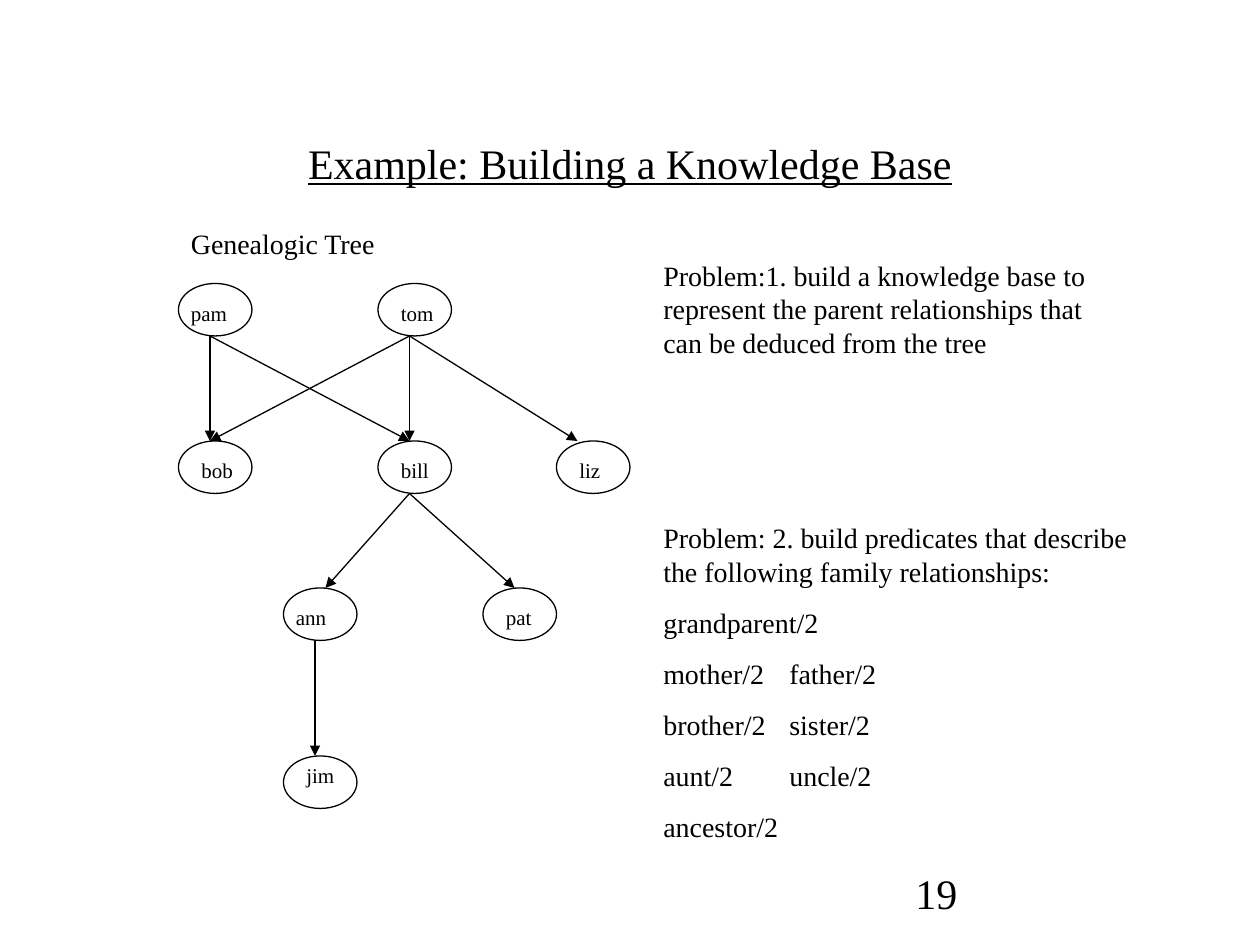
from pptx import Presentation
from pptx.dml.color import RGBColor
from pptx.enum.shapes import MSO_CONNECTOR as CONNECTOR, MSO_SHAPE as SHAPE
from pptx.enum.text import MSO_ANCHOR as ANCHOR, MSO_AUTO_SIZE as AUTO_SIZE, PP_ALIGN as ALIGN
from pptx.oxml.ns import qn
from pptx.util import Emu, Pt
from lxml.etree import SubElement

EMU_PER_PX = 7620
BLACK = RGBColor(0x00, 0x00, 0x00)
WHITE = RGBColor(0xFF, 0xFF, 0xFF)
FONT = "Times New Roman"
NODE_WIDTH, NODE_HEIGHT = 70, 50
LINK_OFFSET = 30

PEOPLE = {
    "pam": (170, 270),
    "tom": (360, 270),
    "bob": (170, 420),
    "bill": (360, 420),
    "liz": (530, 420),
    "ann": (270, 560),
    "jim": (270, 720),
    "pat": (460, 560),
}
LABEL_OFFSETS = {"pam": (0, 10), "ann": (0, 10), "jim": (10, 0)}
PARENT_LINKS = [
    ("pam", "bob"), ("pam", "bill"),
    ("tom", "bob"), ("tom", "bill"), ("tom", "liz"),
    ("bill", "ann"), ("bill", "pat"),
    ("ann", "jim"),
]
ARRIVAL_OFFSETS = {"liz": 20, "ann": 40}

PROBLEM_ONE = ["Problem:1. build a knowledge base to represent the parent "
               "relationships that can be deduced from the tree"]
PROBLEM_TWO = [
    "Problem: 2. build predicates that describe the following family relationships:",
    "grandparent/2",
    "mother/2\tfather/2",
    "brother/2\tsister/2",
    "aunt/2\tuncle/2",
    "ancestor/2",
]


def px(*lengths):
    return [Emu(length * EMU_PER_PX) for length in lengths]


def add_run(paragraph, text, size, underline=None):
    run = paragraph.add_run()
    run.text = text
    run.font.name = FONT
    run.font.size = Pt(size)
    run.font.color.rgb = BLACK
    run.font.underline = underline


def format_title(slide, text):
    title = slide.shapes.title
    title.left, title.top, title.width, title.height = px(90, 80, 1020, 150)
    frame = title.text_frame
    frame.auto_size = AUTO_SIZE.NONE
    frame.vertical_anchor = ANCHOR.MIDDLE
    paragraph = frame.paragraphs[0]
    paragraph.alignment = ALIGN.CENTER
    add_run(paragraph, text, 24, underline=True)


def add_text(slide, box, lines, size):
    frame = slide.shapes.add_textbox(*px(*box)).text_frame
    frame.word_wrap = True
    for index, line in enumerate(lines):
        paragraph = frame.add_paragraph() if index else frame.paragraphs[0]
        if index:
            paragraph.space_before = Pt(10)
        add_run(paragraph, line, size)


def add_node(slide, left, top):
    node = slide.shapes.add_shape(SHAPE.OVAL, *px(left, top, NODE_WIDTH, NODE_HEIGHT))
    node.shadow.inherit = False
    node.fill.solid()
    node.fill.fore_color.rgb = WHITE
    node.line.color.rgb = BLACK
    node.line.width = Pt(0.75)


def add_arrow(slide, parent, child):
    parent_left, parent_top = PEOPLE[parent]
    child_left, child_top = PEOPLE[child]
    arrow = slide.shapes.add_connector(CONNECTOR.STRAIGHT, *px(
        parent_left + LINK_OFFSET, parent_top + NODE_HEIGHT,
        child_left + ARRIVAL_OFFSETS.get(child, LINK_OFFSET), child_top))
    arrow.line.color.rgb = BLACK
    arrow.line.width = Pt(0.75)
    SubElement(arrow.line._get_or_add_ln(), qn("a:tailEnd"), type="triangle")
    SubElement(arrow._element.spPr, qn("a:effectLst"))


def add_label(slide, name):
    left, top = PEOPLE[name]
    right_shift, down_shift = LABEL_OFFSETS.get(name, (10, 10))
    add_text(slide, (left + right_shift, top + down_shift, 60, 73), [name], 12)


def main():
    presentation = Presentation()
    presentation.slide_width, presentation.slide_height = px(1200, 900)
    slide = presentation.slides.add_slide(presentation.slide_layouts[5])
    format_title(slide, "Example: Building a Knowledge Base")
    for left, top in PEOPLE.values():
        add_node(slide, left, top)
    for parent, child in PARENT_LINKS:
        add_arrow(slide, parent, child)
    add_text(slide, (170, 210, 390, 44), ["Genealogic Tree"], 16)
    add_text(slide, (620, 240, 460, 108), PROBLEM_ONE, 16)
    add_text(slide, (620, 490, 470, 319), PROBLEM_TWO, 16)
    for name in PEOPLE:
        add_label(slide, name)
    add_text(slide, (860, 820, 250, 60), ["19"], 24)
    presentation.save("out.pptx")


if __name__ == "__main__":
    main()
